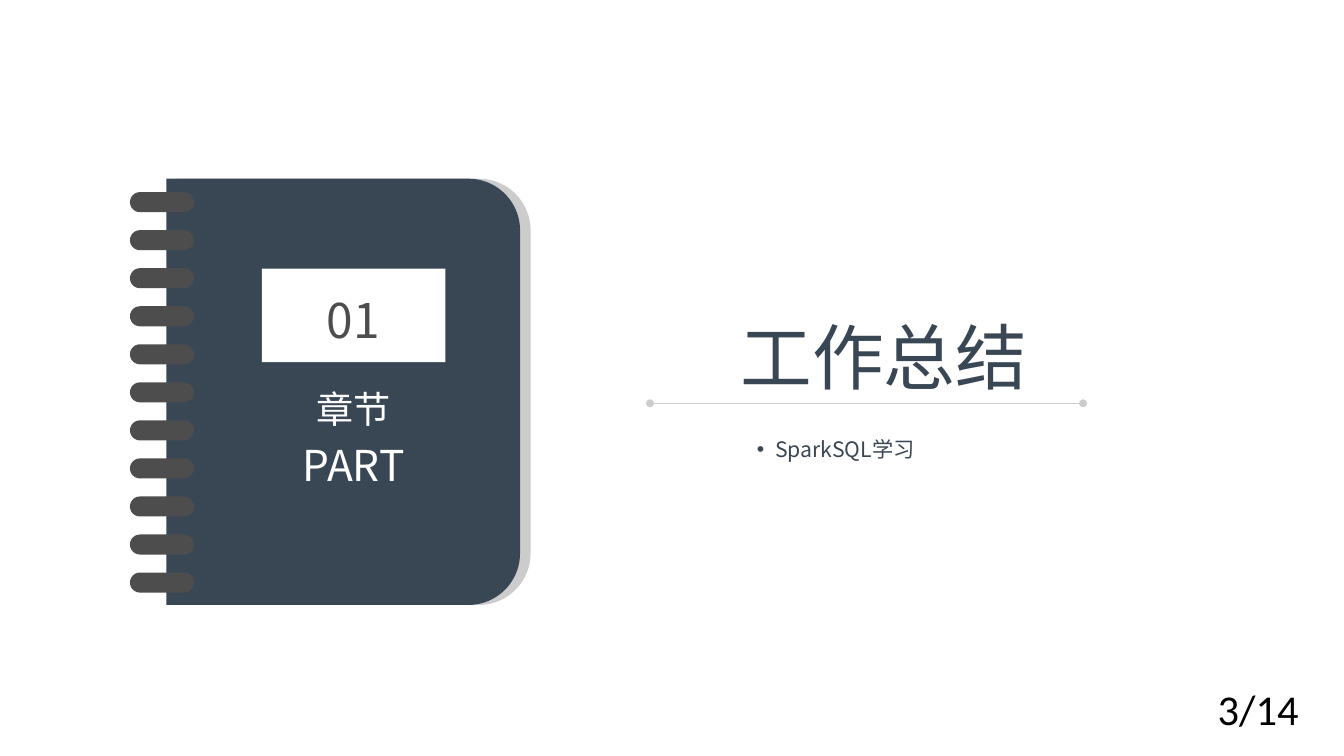
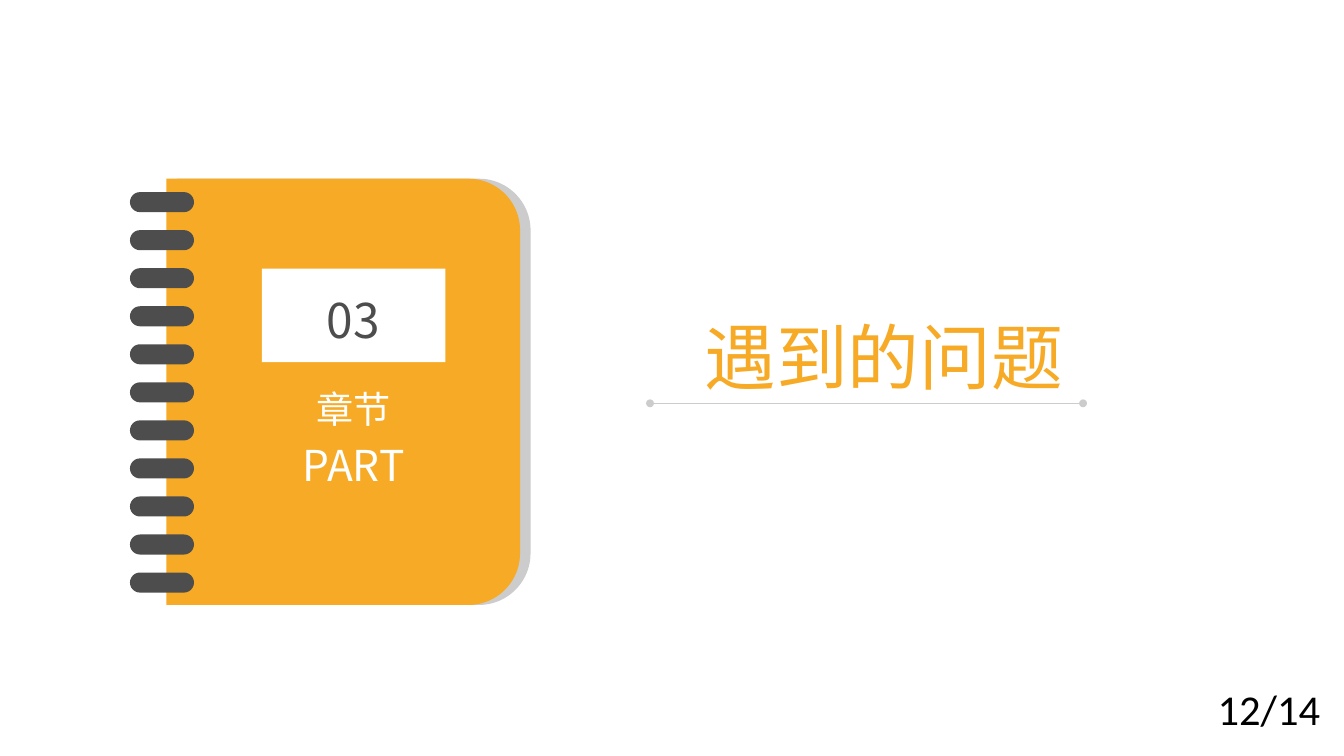
from lxml import etree
from pptx import Presentation
from pptx.dml.color import RGBColor
from pptx.enum.shapes import MSO_CONNECTOR, MSO_SHAPE
from pptx.enum.text import MSO_AUTO_SIZE, PP_ALIGN
from pptx.oxml.ns import qn
from pptx.util import Inches, Pt

RECT, PILL = MSO_SHAPE.RECTANGLE, MSO_SHAPE.ROUNDED_RECTANGLE
COVER = MSO_SHAPE.ROUND_2_SAME_RECTANGLE
LEFT, CENTER = PP_ALIGN.LEFT, PP_ALIGN.CENTER
STRAIGHT, GROW = MSO_CONNECTOR.STRAIGHT, MSO_AUTO_SIZE.SHAPE_TO_FIT_TEXT

COLORS = {"navy": "394754", "orange": "F6AA26", "gray": "CCCCCC",
          "dark": "4D4D4D", "white": "FFFFFF", "black": "000000"}
CJK, LATIN = "Noto Sans CJK SC", "Calibri"
W, H = 14.06, 7.91

# Notebook geometry in inches
BOOK_X, BOOK_Y, BOOK_W, BOOK_H = 1.74, 1.87, 3.7, 4.46
SHADE_DX, CORNER = 0.11, 0.54
RINGS, RING_X, RING_Y, RING_W, RING_H = 11, 1.36, 2.01, 0.67, 0.21
RING_STEP = 3.98 / (RINGS - 1)
RULE_X, RULE_END, RULE_Y = 6.8, 11.33, 4.22

SECTIONS = [
    {"number": "01", "title": "工作总结", "color": "navy",
     "topic": "SparkSQL学习", "page": "3/14"},
    {"number": "03", "title": "遇到的问题", "color": "orange",
     "topic": None, "page": "12/14"},
]


def add_block(shapes, kind, box, color, adjust=None):
    """Add a plain filled shape without outline or shadow."""
    sp = shapes.add_shape(kind, *map(Inches, box))
    sp.shadow.inherit = False
    sp.fill.solid()
    sp.fill.fore_color.rgb = RGBColor.from_string(COLORS[color])
    sp.line.fill.background()
    if adjust is not None:
        sp.adjustments[0] = adjust
    return sp


def add_text(shapes, box, lines, color, align=CENTER, font=CJK, inset=0, before=0):
    """Add a text box; lines holds (text, size) pairs, before is a share of size."""
    tf = shapes.add_textbox(*map(Inches, box)).text_frame
    frame = {"word_wrap": True, "auto_size": GROW,
             "margin_left": Inches(inset), "margin_right": Inches(inset),
             "margin_top": Inches(inset / 2), "margin_bottom": Inches(inset / 2)}
    for name, value in frame.items():
        setattr(tf, name, value)
    for i, (text, size) in enumerate(lines):
        p = tf.add_paragraph() if i else tf.paragraphs[0]
        p.alignment = align
        p.space_before = Pt(before * size)
        r = p.add_run()
        r.text = text
        for name, value in {"name": font, "size": Pt(size)}.items():
            setattr(r.font, name, value)
        r.font.color.rgb = RGBColor.from_string(COLORS[color])
        etree.SubElement(r.font._element, qn("a:ea"), typeface=font)
    return tf


prs = Presentation()
prs.slide_width, prs.slide_height = Inches(W), Inches(H)

for section in SECTIONS:
    s = prs.slides.add_slide(prs.slide_layouts[6])
    color = section["color"]

    # Title over a rule with round ends
    rule = s.shapes.add_connector(STRAIGHT, Inches(RULE_X), Inches(RULE_Y),
                                  Inches(RULE_END), Inches(RULE_Y))
    rule.line.color.rgb = RGBColor.from_string(COLORS["gray"])
    rule.line.width = Pt(1)
    for end in ("a:headEnd", "a:tailEnd"):
        etree.SubElement(rule.line._get_or_add_ln(), qn(end), type="oval")
    etree.SubElement(rule._element.spPr, qn("a:effectLst"))
    add_text(s.shapes, (RULE_X, 3.27, 4.89, 0.91), [(section["title"], 54)], color)

    if section["topic"]:
        tf = add_text(s.shapes, (7.82, 4.52, 1.87, 0.37), [(section["topic"], 16)],
                      color, align=LEFT, inset=0.1)
        pPr = tf.paragraphs[0]._p.get_or_add_pPr()
        pPr.set("marL", str(Inches(0.19)))
        pPr.set("indent", str(-Inches(0.19)))
        etree.SubElement(pPr, qn("a:buFont"), typeface="Arial")
        etree.SubElement(pPr, qn("a:buChar"), char="•")

    # Notebook: each cover is turned a quarter so its round corners face right
    book = s.shapes.add_group_shape().shapes
    turn = (BOOK_W - BOOK_H) / 2
    for dx, fill in ((SHADE_DX, "gray"), (0, color)):
        box = (BOOK_X + dx + turn, BOOK_Y - turn, BOOK_H, BOOK_W)
        add_block(book, COVER, box, fill, CORNER / BOOK_W).rotation = 90
    add_block(book, RECT, (2.74, 2.81, 1.92, 0.98), "white")
    for i in range(RINGS):
        box = (RING_X, RING_Y + i * RING_STEP, RING_W, RING_H)
        add_block(book, PILL, box, "dark", 0.5)
    add_text(book, (2.79, 3.04, 1.81, 0.61), [(section["number"], 36)], "dark",
             before=0.2)
    add_text(book, (2.94, 4.04, 1.52, 1.12), [("章节", 28), ("PART", 32)], "white",
             before=0.2)

    add_text(s.shapes, (12.64, 7.1, 1.42, 0.61), [(section["page"], 32)], "black",
             align=LEFT, font=LATIN, inset=0.1)

prs.save("out.pptx")
